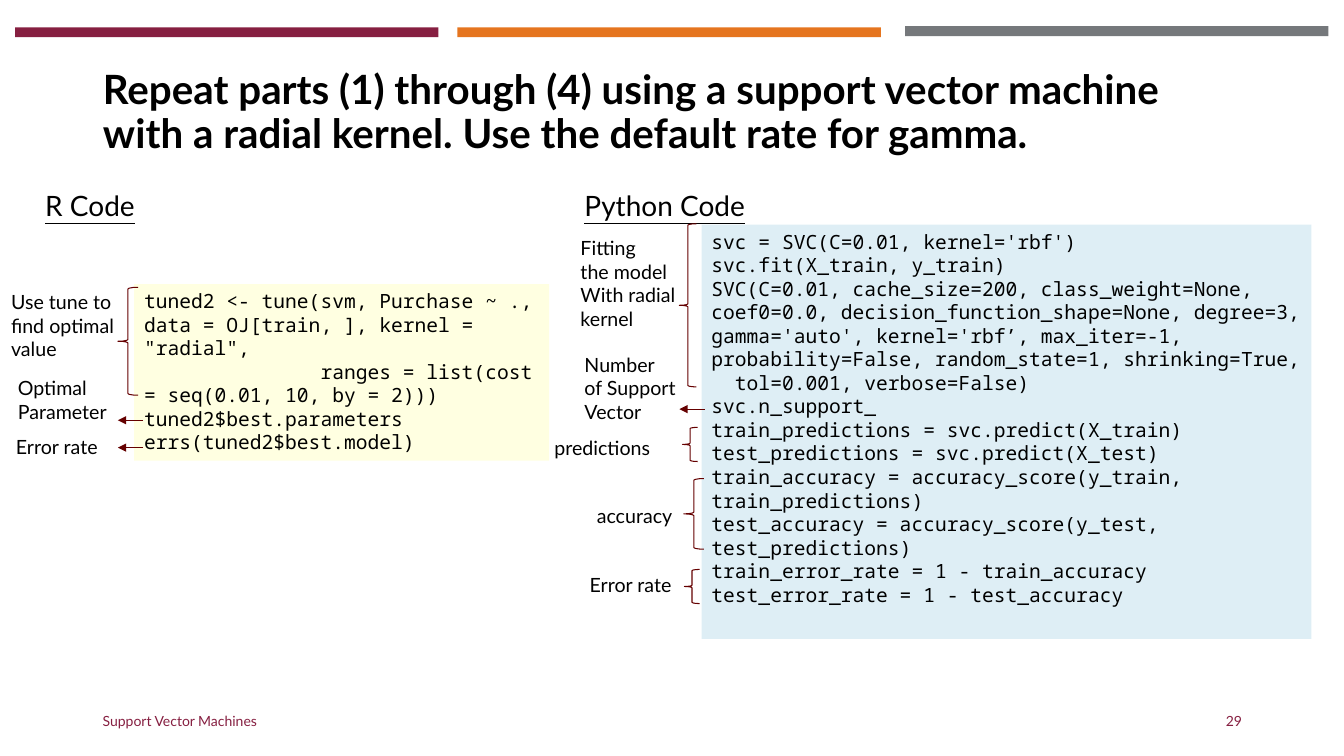
from lxml import etree
from pptx import Presentation
from pptx.dml.color import RGBColor
from pptx.enum.shapes import MSO_CONNECTOR, MSO_SHAPE
from pptx.enum.text import MSO_ANCHOR as ANCHOR, PP_ALIGN as ALIGN
from pptx.oxml.ns import qn
from pptx.util import Cm, Pt

MAROON = RGBColor(0x86, 0x1F, 0x41)
ORANGE = RGBColor(0xE5, 0x75, 0x1F)
GRAY = RGBColor(0x75, 0x78, 0x7B)
DARK_RED = RGBColor(0x65, 0x00, 0x00)
CREAM = RGBColor(0xFF, 0xFF, 0xE1)
PALE_BLUE = RGBColor(0xDE, 0xEE, 0xF5)
BLACK = RGBColor(0x00, 0x00, 0x00)

BODY_FONT = "Lato"
CODE_FONT = "Noto Sans Mono"
ARROW_LENGTH = 0.64

R_CODE = """tuned2 <- tune(svm, Purchase ~ ., data = OJ[train, ], kernel = "radial",
               ranges = list(cost = seq(0.01, 10, by = 2)))
tuned2$best.parameters
errs(tuned2$best.model)"""

PYTHON_CODE = """svc = SVC(C=0.01, kernel='rbf')
svc.fit(X_train, y_train)
SVC(C=0.01, cache_size=200, class_weight=None, coef0=0.0, \
decision_function_shape=None, degree=3, gamma='auto', kernel='rbf’, \
max_iter=-1, probability=False, random_state=1, shrinking=True,
  tol=0.001, verbose=False)
svc.n_support_
train_predictions = svc.predict(X_train)
test_predictions = svc.predict(X_test)
train_accuracy = accuracy_score(y_train, train_predictions)
test_accuracy = accuracy_score(y_test, test_predictions)
train_error_rate = 1 - train_accuracy
test_error_rate = 1 - test_accuracy"""


def write(shape, text, size=14, font=BODY_FONT, color=BLACK, bold=False,
          underline=False, align=ALIGN.LEFT, anchor=ANCHOR.TOP, spacing=None):
    """Fill a shape with one paragraph for each line of text."""
    frame = shape.text_frame
    frame.word_wrap = True
    frame.vertical_anchor = anchor
    for index, line in enumerate(text.split("\n")):
        para = frame.paragraphs[0] if index == 0 else frame.add_paragraph()
        para.alignment = align
        para.line_spacing = spacing
        span = para.add_run()
        span.text = line
        span.font.name = font
        span.font.size = Pt(size)
        span.font.bold = bold
        span.font.underline = underline
        span.font.color.rgb = color


def add_text(slide, box, text, **style):
    shape = slide.shapes.add_textbox(*map(Cm, box))
    write(shape, text, **style)


def add_rectangle(slide, box, color):
    shape = slide.shapes.add_shape(MSO_SHAPE.RECTANGLE, *map(Cm, box))
    shape.shadow.inherit = False
    shape.fill.solid()
    shape.fill.fore_color.rgb = color
    shape.line.fill.background()
    return shape


def add_brace(slide, box):
    brace = slide.shapes.add_shape(MSO_SHAPE.LEFT_BRACE, *map(Cm, box))
    brace.shadow.inherit = False
    brace.fill.background()
    brace.line.color.rgb = DARK_RED
    brace.line.width = Pt(0.75)


def add_left_arrow(slide, right, y):
    arrow = slide.shapes.add_connector(
        MSO_CONNECTOR.STRAIGHT, Cm(right), Cm(y), Cm(right - ARROW_LENGTH), Cm(y))
    arrow.line.color.rgb = DARK_RED
    arrow.line.width = Pt(0.75)
    etree.SubElement(arrow.line._get_or_add_ln(), qn("a:tailEnd"), type="triangle")
    etree.SubElement(arrow._element.spPr, qn("a:effectLst"))


def add_top_bars(slide, left, top):
    for offset, rise, color in [(0, 0, MAROON), (11.15, 0, ORANGE), (22.43, 0.03, GRAY)]:
        add_rectangle(slide, (left + offset, top - rise, 10.67, 0.25), color)


def add_title(slide, box, text):
    title = slide.shapes.title
    title.left, title.top, title.width, title.height = map(Cm, box)
    write(title, text, size=28.8, bold=True, anchor=ANCHOR.MIDDLE, spacing=0.9)


def add_footer(slide, left, top, width, text, number):
    style = dict(size=10, color=MAROON, anchor=ANCHOR.MIDDLE)
    add_text(slide, (left, top, 11.43, 1.02), text, **style)
    add_text(slide, (left + width - 7.62, top, 7.62, 1.02), number,
             align=ALIGN.RIGHT, **style)


def add_code_region(slide, left, top, heading, heading_left, code, code_box, color,
                    labels, braces, arrows):
    """Place a heading, a code panel and its notes, all relative to left and top."""
    def place(x, y, width, height):
        return left + x, top + y, width, height

    add_text(slide, place(heading_left, 0, 5.64, 1.55), heading, size=20,
             underline=True, anchor=ANCHOR.MIDDLE, spacing=1.5)
    panel = add_rectangle(slide, place(*code_box), color)
    write(panel, code, font=CODE_FONT)
    for text, box in labels:
        add_text(slide, place(*box), text)
    for box in braces:
        add_brace(slide, place(*box))
    for right, y in arrows:
        add_left_arrow(slide, left + right, top + y)


def add_r_region(slide, left, top):
    add_code_region(
        slide, left, top, "R Code", 0.89, R_CODE, (3.38, 2.97, 10.46, 4.45), CREAM,
        labels=[
            ("Use tune to\nfind optimal value", (0.03, 3, 3.51, 2.06)),
            ("Optimal\nParameter", (0.2, 5.16, 3.51, 1.45)),
            ("Error rate", (0.15, 6.65, 3.43, 0.86)),
        ],
        braces=[(2.97, 3.05, 0.51, 2.72)],
        arrows=[(3.61, 6.4), (3.61, 7.09)])


def add_python_region(slide, left, top):
    add_code_region(
        slide, left, top, "Python Code", 0.76, PYTHON_CODE,
        (3.96, 1.47, 15.37, 10.44), PALE_BLUE,
        labels=[
            ("Fitting\nthe model\nWith radial\nkernel", (0.66, 1.63, 3.18, 2.64)),
            ("Number\nof Support Vector", (0.76, 4.57, 3.43, 2.06)),
            ("predictions", (0, 6.68, 3.43, 0.86)),
            ("accuracy", (1.07, 8.38, 2.97, 0.86)),
            ("Error rate", (0.89, 10.11, 2.97, 0.86)),
        ],
        braces=[
            (3.4, 1.45, 0.43, 4.11),
            (3.48, 6.58, 0.38, 0.86),
            (3.51, 7.87, 0.51, 1.78),
            (3.53, 10.16, 0.38, 0.86),
        ],
        arrows=[(4.04, 6.12)])


def main():
    deck = Presentation()
    deck.slide_width, deck.slide_height = Cm(33.87), Cm(19.05)
    slide = deck.slides.add_slide(deck.slide_layouts.get_by_name("Title Only"))
    add_top_bars(slide, 0.38, 0.69)
    add_title(slide, (2.34, 1.02, 29.21, 3.68),
              "Repeat parts (1) through (4) using a support vector machine "
              "with a radial kernel. Use the default rate for gamma.")
    add_r_region(slide, 0, 4.19)
    add_python_region(slide, 13.72, 4.19)
    add_footer(slide, 2.34, 17.65, 29.21, "Support Vector Machines", "29")
    deck.save("out.pptx")


if __name__ == "__main__":
    main()
